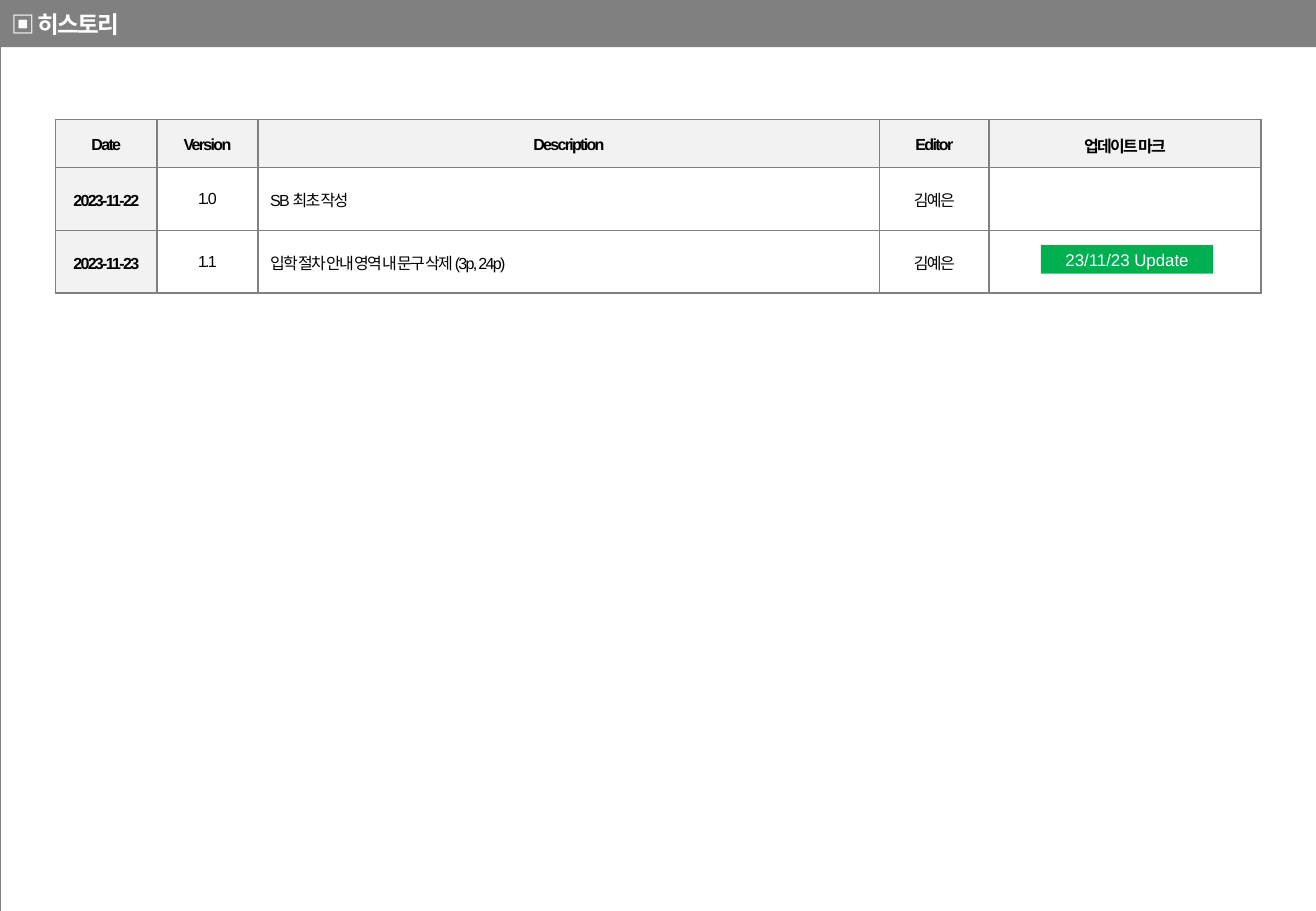
from lxml.etree import SubElement
from pptx import Presentation
from pptx.dml.color import RGBColor
from pptx.enum.shapes import MSO_SHAPE
from pptx.enum.text import MSO_ANCHOR, PP_ALIGN
from pptx.oxml.ns import qn
from pptx.util import Pt

COLORS = {"gray": "808080", "header": "F2F2F2", "white": "FFFFFF",
          "black": "000000", "update": "00B050"}
LATIN, KOREAN = "Arial", "Noto Sans CJK KR"
SLIDE_WIDTH, SLIDE_HEIGHT = 780, 540


def rgb(name):
    return RGBColor.from_string(COLORS[name])


class HistorySlide:
    def __init__(self, presentation):
        self.slide = presentation.slides.add_slide(presentation.slide_layouts[6])

    def add_text(self, frame, text, color, spacing=0, align=PP_ALIGN.CENTER,
                 line_spacing=None, **font_format):
        paragraph = frame.paragraphs[0]
        paragraph.alignment = align
        paragraph.line_spacing = line_spacing
        run = paragraph.add_run()
        run.text = text
        run.font.color.rgb = rgb(color)
        for attribute, value in font_format.items():
            setattr(run.font, attribute, value)
        properties = run._r.get_or_add_rPr()
        properties.set("spc", str(spacing * 100))
        SubElement(properties, qn("a:ea"), typeface=KOREAN)

    def bar(self, left, top, width, height, fill, text, **text_format):
        shape = self.slide.shapes.add_shape(
            MSO_SHAPE.RECTANGLE, Pt(left), Pt(top), Pt(width), Pt(height))
        shape.shadow.inherit = False
        shape.fill.solid()
        shape.fill.fore_color.rgb = rgb(fill)
        shape.line.fill.background()
        shape.text_frame.vertical_anchor = MSO_ANCHOR.MIDDLE
        self.add_text(shape.text_frame, text, "white", **text_format)

    def table(self, left, top, widths, heights, border):
        table = self.slide.shapes.add_table(
            len(heights), len(widths), Pt(left), Pt(top),
            Pt(sum(widths)), Pt(sum(heights))).table
        table.first_row = table.horz_banding = False
        for column, width in zip(table.columns, widths):
            column.width = Pt(width)
        for row, height in zip(table.rows, heights):
            row.height = Pt(height)
        for cell in table.iter_cells():
            self.borders(cell, border)
            cell.fill.background()
        return table

    def borders(self, cell, width):
        properties = cell._tc.get_or_add_tcPr()
        for side in ("a:lnL", "a:lnR", "a:lnT", "a:lnB"):
            line = SubElement(properties, qn(side), w=str(int(Pt(width))))
            fill = SubElement(line, qn("a:solidFill"))
            SubElement(fill, qn("a:srgbClr"), val=COLORS["gray"])

    def fill_cell(self, cell, text, fill, bottom, **text_format):
        cell.fill.solid()
        cell.fill.fore_color.rgb = rgb(fill)
        cell.vertical_anchor = MSO_ANCHOR.MIDDLE
        cell.margin_bottom = Pt(bottom)
        if text:
            self.add_text(cell.text_frame, text, "black", spacing=-1,
                          line_spacing=1.2, name=LATIN, size=Pt(9.5), **text_format)


def main():
    presentation = Presentation()
    presentation.slide_width = Pt(SLIDE_WIDTH)
    presentation.slide_height = Pt(SLIDE_HEIGHT)
    history = HistorySlide(presentation)

    # Page frame and title bar
    history.table(0, 0, [SLIDE_WIDTH], [SLIDE_HEIGHT], border=0.25)
    history.bar(0, 0, SLIDE_WIDTH, 28, "gray", "▣ 히스토리", spacing=-1,
                align=PP_ALIGN.LEFT, name=KOREAN, size=Pt(14), bold=True)

    # Version history
    revisions = [
        ["Date", "Version", "Description", "Editor", "업데이트 마크"],
        ["2023-11-22", "1.0", "SB 최초 작성", "김예은", ""],
        ["2023-11-23", "1.1", "입학 절차 안내 영역 내 문구 삭제 (3p, 24p)", "김예은", ""],
    ]
    revision_table = history.table(
        33, 70.75, [60, 60, 368.5, 64.75, 161.25], [28.5, 37.25, 37.25], border=1)
    for row, revision in enumerate(revisions):
        for column, text in enumerate(revision):
            heading = row == 0 or column == 0
            description = column == 2 and not heading
            history.fill_cell(
                revision_table.cell(row, column), text,
                fill="header" if heading else "white",
                bottom=3.6 if heading else 5.75,
                align=PP_ALIGN.LEFT if description else PP_ALIGN.CENTER,
                bold=heading)

    # Update mark
    history.bar(617, 145.25, 102, 17, "update", "23/11/23 Update",
                name=LATIN, size=Pt(10))

    presentation.save("out.pptx")


if __name__ == "__main__":
    main()
